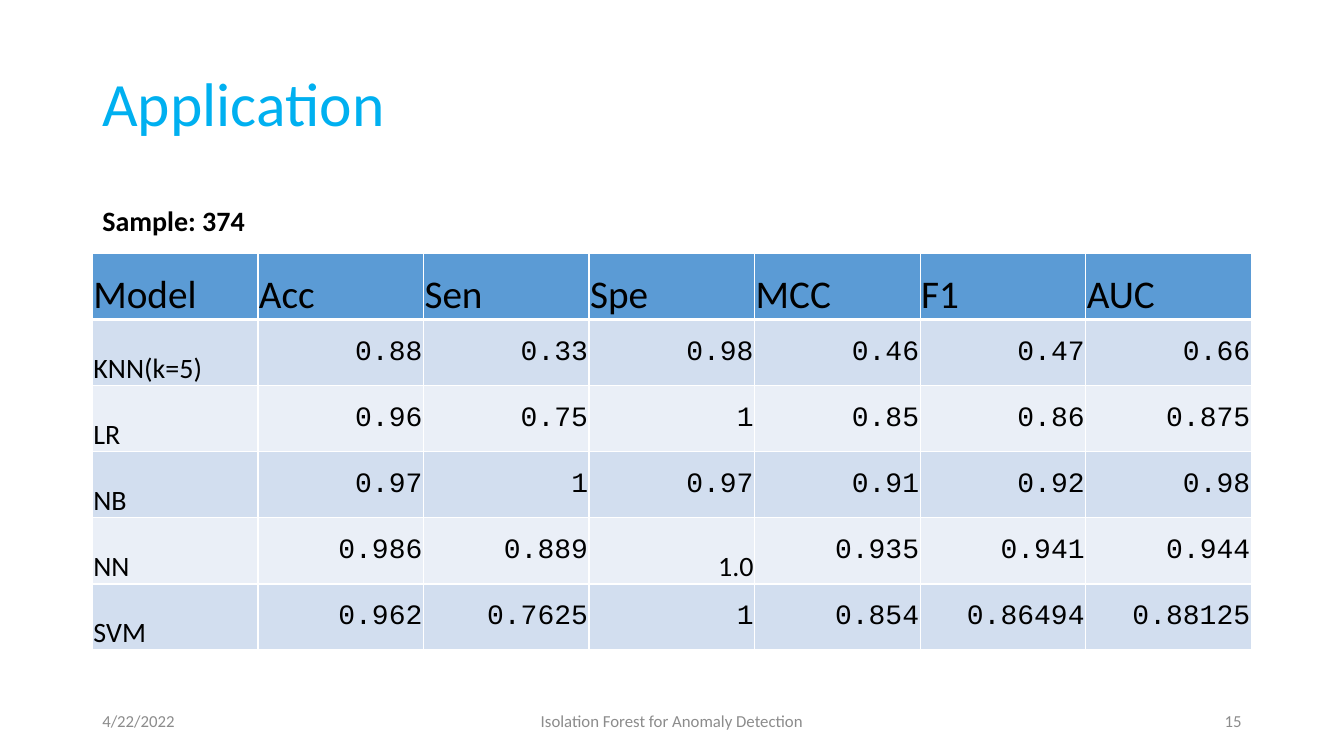
from dataclasses import dataclass

from lxml import etree
from pptx import Presentation
from pptx.dml.color import RGBColor
from pptx.enum.text import MSO_ANCHOR, PP_ALIGN
from pptx.oxml.ns import qn
from pptx.util import Pt

LEFT, CENTER, RIGHT = PP_ALIGN.LEFT, PP_ALIGN.CENTER, PP_ALIGN.RIGHT
TOP, MIDDLE, BOTTOM = MSO_ANCHOR.TOP, MSO_ANCHOR.MIDDLE, MSO_ANCHOR.BOTTOM


@dataclass(frozen=True)
class Theme:
    sans: str = "Calibri"
    mono: str = "Courier New"
    title: str = "00B0F0"
    text: str = "000000"
    muted: str = "8C8C8C"
    header: str = "5B9BD5"
    bands: tuple = ("D2DEEF", "EAEFF7")
    rule: str = "FFFFFF"
    title_size: int = 44
    header_size: int = 28
    body_size: int = 20
    footer_size: int = 12


THEME = Theme()

HEADERS = ["Model", "Acc", "Sen", "Spe", "MCC", "F1", "AUC"]
SCORES = [
    ["KNN(k=5)", "0.88", "0.33", "0.98", "0.46", "0.47", "0.66"],
    ["LR", "0.96", "0.75", "1", "0.85", "0.86", "0.875"],
    ["NB", "0.97", "1", "0.97", "0.91", "0.92", "0.98"],
    ["NN", "0.986", "0.889", "1.0", "0.935", "0.941", "0.944"],
    ["SVM", "0.962", "0.7625", "1", "0.854", "0.86494", "0.88125"],
]


def style_paragraph(p, text, size, color, align=LEFT, font=THEME.sans, bold=False):
    p.text = text
    p.alignment = align
    p.font.size = Pt(size)
    p.font.name = font
    p.font.bold = bold
    p.font.color.rgb = RGBColor.from_string(color)


def add_text(slide, box, text, size, color, align=LEFT, anchor=MIDDLE, bold=False):
    tf = slide.shapes.add_textbox(*map(Pt, box)).text_frame
    tf.word_wrap = True
    tf.vertical_anchor = anchor
    p = tf.paragraphs[0]
    style_paragraph(p, text, size, color, align, bold=bold)
    return p


def add_heading(slide, box):
    x, y, w, h = box
    p = add_text(slide, (x, y, w, 104.4), "Application", THEME.title_size, THEME.title)
    p.line_spacing = 0.9
    add_text(slide, (x, y + h - 31.5, 403, 31.5), "Sample: 374",
             THEME.body_size, THEME.text, anchor=TOP, bold=True)


def set_borders(cell, bottom):
    tc_pr = cell._tc.get_or_add_tcPr()
    widths = {"a:lnL": 1, "a:lnR": 1, "a:lnT": 1, "a:lnB": bottom}
    for i, (tag, width) in enumerate(widths.items()):
        ln = etree.Element(qn(tag), w=str(Pt(width)))
        fill = etree.SubElement(ln, qn("a:solidFill"))
        etree.SubElement(fill, qn("a:srgbClr"), val=THEME.rule)
        tc_pr.insert(i, ln)


def fill_cell(cell, text, row, col):
    is_header = row == 0
    is_mono = not is_header and col > 0 and text != "1.0"
    cell.margin_left = cell.margin_right = cell.margin_top = Pt(0.75)
    cell.margin_bottom = 0
    cell.vertical_anchor = MIDDLE if is_mono else BOTTOM
    color = THEME.header if is_header else THEME.bands[(row - 1) % 2]
    cell.fill.solid()
    cell.fill.fore_color.rgb = RGBColor.from_string(color)
    set_borders(cell, 3 if is_header else 1)
    style_paragraph(
        cell.text_frame.paragraphs[0], text,
        THEME.header_size if is_header else THEME.body_size, THEME.text,
        LEFT if is_header or col == 0 else RIGHT,
        THEME.mono if is_mono else THEME.sans)


def add_score_table(slide, box):
    rows = [HEADERS, *SCORES]
    _, _, w, h = box
    table = slide.shapes.add_table(len(rows), len(HEADERS), *map(Pt, box)).table
    for column in table.columns:
        column.width = Pt(w / len(HEADERS))
    for r, values in enumerate(rows):
        table.rows[r].height = Pt(h / len(rows))
        for c, text in enumerate(values):
            fill_cell(table.cell(r, c), text, r, c)


def add_footer(slide, box):
    x, y, w, h = box
    side, middle = 216, 324
    parts = [
        (x, side, "4/22/2022", LEFT),
        (x + (w - middle) / 2, middle, "Isolation Forest for Anomaly Detection", CENTER),
        (x + w - side, side, "15", RIGHT),
    ]
    for left, width, text, align in parts:
        add_text(slide, (left, y, width, h), text, THEME.footer_size, THEME.muted, align)


def main():
    prs = Presentation()
    prs.slide_width, prs.slide_height = Pt(960), Pt(540)
    slide = prs.slides.add_slide(prs.slide_layouts[6])
    x, w = 66, 828
    add_heading(slide, (x, 24, w, 149.4))
    add_score_table(slide, (x, 181, w, 283.5))
    add_footer(slide, (x, 500.5, w, 28.75))
    prs.save("out.pptx")


if __name__ == "__main__":
    main()
